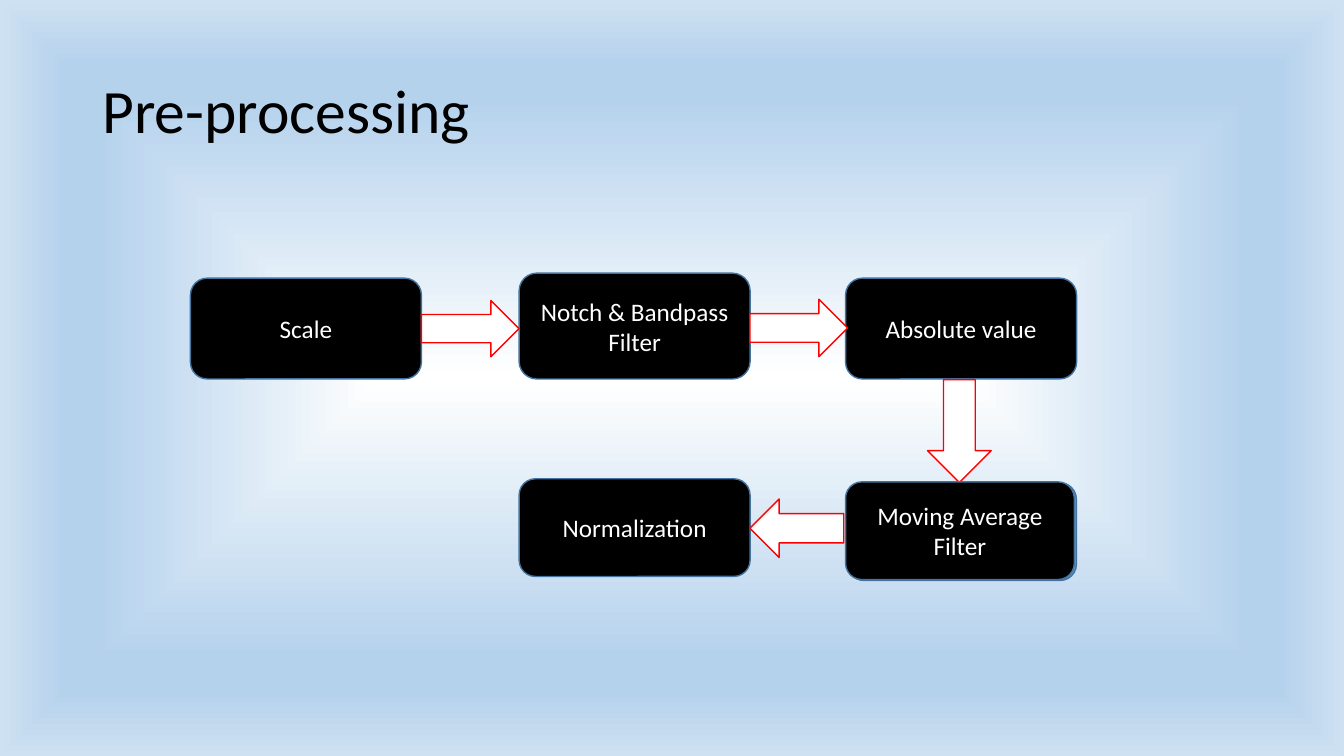
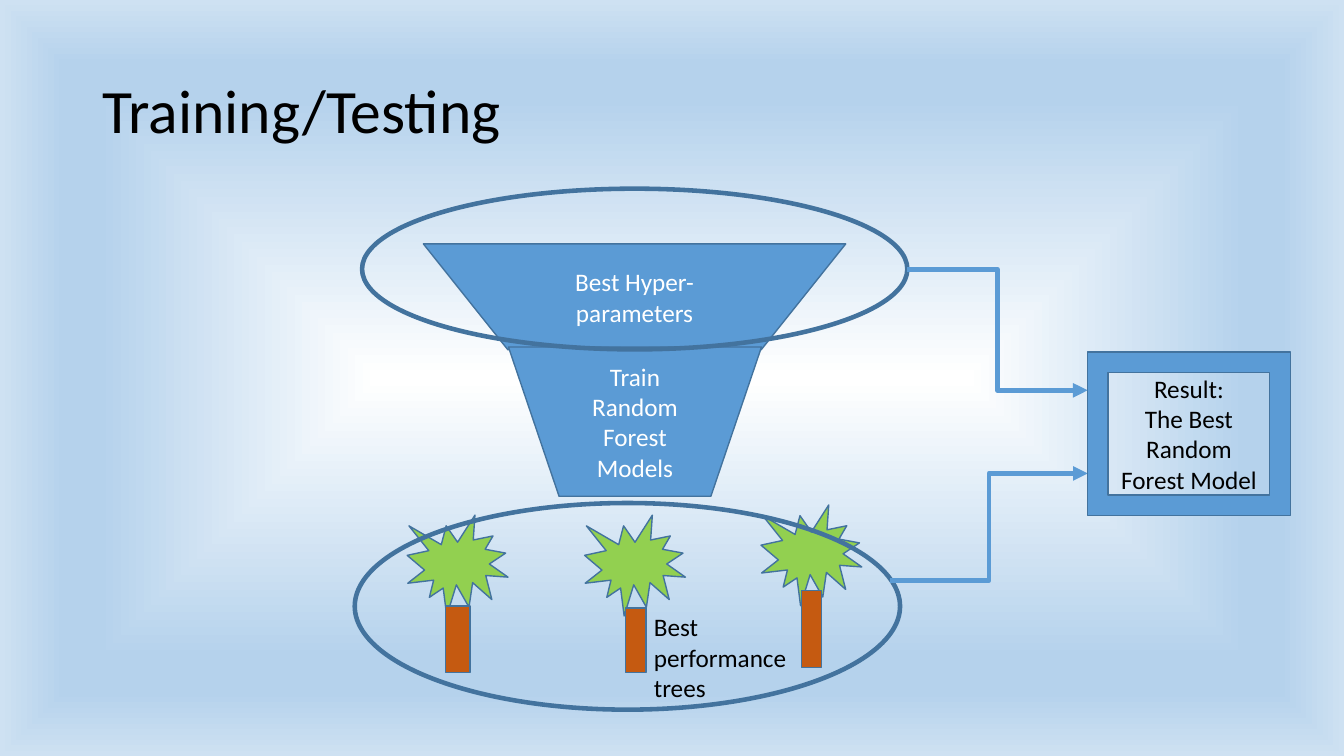
from dataclasses import dataclass
from typing import Optional

import lxml.etree
import pptx
import pptx.dml.color
import pptx.enum.shapes
import pptx.enum.text
import pptx.oxml
import pptx.oxml.ns
import pptx.presentation
import pptx.slide
import pptx.text.text
import pptx.util

Pt = pptx.util.Pt
qn = pptx.oxml.ns.qn
Kind = pptx.enum.shapes.MSO_SHAPE
Align = pptx.enum.text.PP_ALIGN
Anchor = pptx.enum.text.MSO_ANCHOR

# Shared look
FONT = "Calibri"
BLACK, WHITE, RED = "000000", "FFFFFF", "FF0000"
BLUE, OUTLINE = "5B9BD5", "43739E"
LEAF, BARK = "92D050", "C55A11"
BACKDROP = (
    f'<a:gradFill {pptx.oxml.ns.nsdecls("a")} rotWithShape="1"><a:gsLst>'
    '<a:gs pos="0"><a:srgbClr val="FFFFFF"><a:alpha val="60000"/></a:srgbClr></a:gs>'
    '<a:gs pos="74000"><a:srgbClr val="B5D2EC"/></a:gs>'
    '<a:gs pos="83000"><a:srgbClr val="B5D2EC"/></a:gs>'
    '<a:gs pos="100000"><a:srgbClr val="CEE1F2"/></a:gs></a:gsLst>'
    '<a:path path="shape"><a:fillToRect l="50000" t="50000" r="50000" b="50000"/></a:path>'
    "</a:gradFill>"
)


@dataclass(frozen=True)
class Part:
    """A preset shape; lengths are in points."""

    kind: Kind
    left: float
    top: float
    width: float
    height: float
    fill: Optional[str] = BLUE
    text: str = ""
    ink: str = WHITE
    outline: str = OUTLINE
    weight: float = 1


@dataclass(frozen=True)
class Route:
    """An elbow arrow from one point to another."""

    x1: float
    y1: float
    x2: float
    y2: float


def rgb(value: str) -> pptx.dml.color.RGBColor:
    return pptx.dml.color.RGBColor.from_string(value)


def style_text(frame: pptx.text.text.TextFrame, size: float, ink: str, align: Align) -> None:
    for paragraph in frame.paragraphs:
        paragraph.alignment = align
        paragraph.font.name = FONT
        paragraph.font.size = Pt(size)
        paragraph.font.color.rgb = rgb(ink)


def set_up_master(deck: pptx.presentation.Presentation) -> None:
    deck.slide_width, deck.slide_height = Pt(960), Pt(540)
    master = deck.slide_master
    master.background.fill.solid()
    backdrop = master.element.find(".//" + qn("p:bgPr"))
    backdrop.replace(backdrop.find(qn("a:solidFill")), pptx.oxml.parse_xml(BACKDROP))


def add_titled_slide(deck: pptx.presentation.Presentation, heading: str) -> pptx.slide.Slide:
    slide = deck.slides.add_slide(deck.slide_layouts.get_by_name("Title Only"))
    title = slide.shapes.title
    title.left, title.top, title.width, title.height = Pt(66), Pt(28.75), Pt(828), Pt(104.4)
    title.text_frame.text = heading
    title.text_frame.vertical_anchor = Anchor.MIDDLE
    style_text(title.text_frame, 44, BLACK, Align.LEFT)
    title.text_frame.paragraphs[0].line_spacing = 0.9
    return slide


def draw_part(slide: pptx.slide.Slide, part: Part) -> None:
    shape = slide.shapes.add_shape(
        part.kind, Pt(part.left), Pt(part.top), Pt(part.width), Pt(part.height)
    )
    shape.shadow.inherit = False
    if part.fill is None:
        shape.fill.background()
    else:
        shape.fill.solid()
        shape.fill.fore_color.rgb = rgb(part.fill)
    shape.line.color.rgb = rgb(part.outline)
    shape.line.width = Pt(part.weight)
    if part.text:
        shape.text_frame.text = part.text
        shape.text_frame.vertical_anchor = Anchor.MIDDLE
        style_text(shape.text_frame, 18, part.ink, Align.CENTER)


def draw_route(slide: pptx.slide.Slide, route: Route) -> None:
    connector = slide.shapes.add_connector(
        pptx.enum.shapes.MSO_CONNECTOR.ELBOW,
        Pt(route.x1), Pt(route.y1), Pt(route.x2), Pt(route.y2),
    )
    connector.line.color.rgb = rgb(BLUE)
    connector.line.width = Pt(3.5)
    properties = connector.element.spPr
    lxml.etree.SubElement(properties.find(qn("a:ln")), qn("a:tailEnd"), type="triangle")
    lxml.etree.SubElement(properties, qn("a:effectLst"))


def step(left: float, top: float, height: float, text: str) -> Part:
    return Part(Kind.ROUNDED_RECTANGLE, left, top, 165, height, BLACK, text)


def flow_arrow(kind: Kind, left: float, top: float, width: float, height: float) -> Part:
    return Part(kind, left, top, width, height, WHITE, outline=RED)


def tree(left: float, top: float, trunk: tuple[float, float, float, float]) -> list[Part]:
    return [Part(Kind.EXPLOSION1, left, top, 72, 72, LEAF), Part(Kind.RECTANGLE, *trunk, BARK)]


def ring(left: float, top: float, height: float) -> Part:
    return Part(Kind.OVAL, left, top, 389.5, height, None, weight=3.25)


def build_preprocessing(deck: pptx.presentation.Presentation) -> None:
    slide = add_titled_slide(deck, "Pre-processing")
    first, second, third = 136, 370.8, 604
    steps = [
        step(first, 198.7, 72, "Scale"),
        step(second, 195.1, 75.6, "Notch & Bandpass Filter"),
        flow_arrow(Kind.RIGHT_ARROW, 301, 214.6, 69.8, 40.3),
        step(third, 198.7, 72, "Absolute value"),
        flow_arrow(Kind.RIGHT_ARROW, 535.7, 213.8, 69.8, 41),
        flow_arrow(Kind.DOWN_ARROW, 662.6, 271.2, 45.4, 73.4),
        # Blue card peeking out behind the moving average step
        Part(Kind.ROUNDED_RECTANGLE, third + 1.5, 344.9, 163.4, 69.8),
        Part(Kind.ROUNDED_RECTANGLE, third, 344.2, 163.4, 69.8, BLACK, "Moving Average\nFilter"),
        step(second, 342, 69.8, "Normalization"),
        flow_arrow(Kind.LEFT_ARROW, 535.7, 356.4, 67, 41.8),
    ]
    for part in steps:
        draw_part(slide, part)


def build_training(deck: pptx.presentation.Presentation) -> None:
    slide = add_titled_slide(deck, "Training/Testing")
    funnel = Kind.FLOWCHART_MANUAL_OPERATION
    parts = [
        # Funnel
        Part(funnel, 302.4, 174.2, 301.7, 75.6, text="Best Hyper-parameters"),
        Part(funnel, 363.2, 247.9, 180.7, 106.6, text="Train Random Forest Models"),
        # Trees
        *tree(290.9, 368, (318.4, 433, 17.3, 47.3)),
        *tree(417.6, 368, (447, 434.4, 14.4, 46)),
        *tree(543.6, 360.7, (572.4, 421.7, 14.4, 54.9)),
        # Selections
        ring(253.4, 359.3, 147.6),
        ring(258.6, 134.8, 114.8),
    ]
    for part in parts:
        draw_part(slide, part)

    # Result
    for route in (Route(648, 192.2, 776.9, 278.8), Route(636, 414.6, 776.9, 338.2)):
        draw_route(slide, route)
    result = "Result:\nThe Best Random Forest Model"
    draw_part(slide, Part(Kind.FRAME, 776.9, 251.4, 144.7, 116.8, text=result, ink=BLACK))

    # Caption
    caption = slide.shapes.add_textbox(Pt(460), Pt(433.4), Pt(117.4), Pt(72.7)).text_frame
    caption.word_wrap = True
    caption.auto_size = pptx.enum.text.MSO_AUTO_SIZE.SHAPE_TO_FIT_TEXT
    caption.text = "Best performance trees"
    style_text(caption, 18, BLACK, Align.LEFT)


def main() -> None:
    deck = pptx.Presentation()
    set_up_master(deck)
    build_preprocessing(deck)
    build_training(deck)
    deck.save("out.pptx")


if __name__ == "__main__":
    main()
